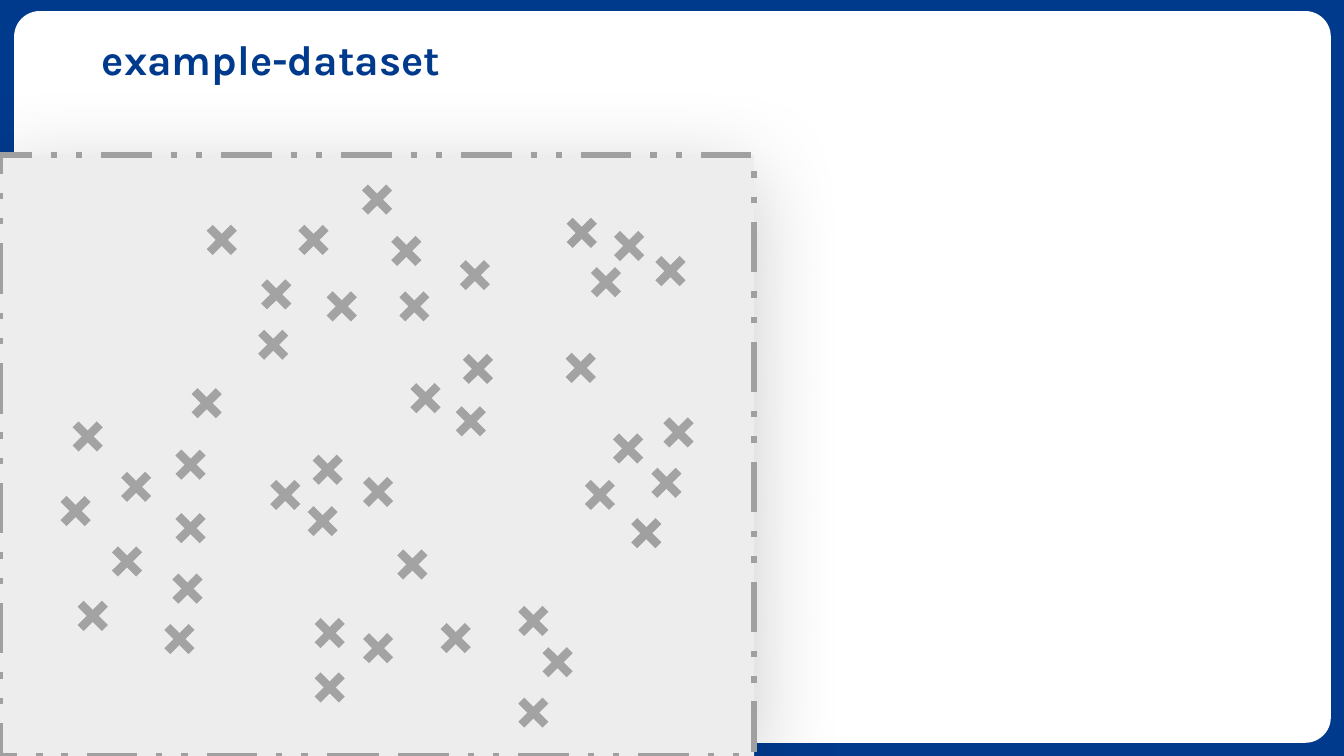
import pptx
import pptx.util
import pptx.dml.color
import pptx.enum.dml
import pptx.enum.shapes
import pptx.enum.text
import pptx.oxml.ns
from lxml import etree

Inches = pptx.util.Inches
Pt = pptx.util.Pt

TITLE = "example-dataset"
COLORS = {
    "blue": "003A8D",
    "white": "FFFFFF",
    "plot": "EDEDED",
    "border": "A0A0A0",
    "point": "A3A3A3",
    "late_point": "A0A0A0",
    "shadow": "000000",
}
CARD_BOX = (0.14, 0.11, 13.06, 7.26)
PLOT_BOX = (0, 1.54, 7.48, 5.96)
TITLE_BOX = (0.91, 0.32, 12.05, 0.58)
SHADOW = {"blurRad": Pt(65), "dist": Pt(13), "dir": 90 * 60000, "algn": "t", "rotWithShape": 0}
SHADOW_ALPHA = 20000

# Top left corner of each cross in the scatter
CROSS_SIZE = 0.24
POINTS = {
    "point": [
        (2.08, 2.26), (2.99, 2.26), (3.62, 1.86), (3.91, 2.37), (4.59, 2.61),
        (2.62, 2.8), (3.27, 2.92), (3.99, 2.92), (4.1, 3.83), (4.55, 4.06),
        (2.59, 3.3), (6.12, 2.32), (5.89, 2.68), (6.53, 2.57), (6.61, 4.17),
        (6.49, 4.67), (6.11, 4.33), (5.83, 4.79), (5.17, 6.04), (5.41, 6.45),
        (5.17, 6.95), (4.4, 6.21), (3.63, 6.31), (3.15, 6.7), (3.15, 6.16),
        (3.97, 5.48), (3.63, 4.76), (3.13, 4.54), (2.71, 4.79), (3.08, 5.05),
        (1.66, 6.22), (1.74, 5.72), (0.8, 5.99), (1.14, 5.45), (0.63, 4.95),
        (1.23, 4.71), (1.77, 5.12), (0.75, 4.21), (1.77, 4.49), (1.93, 3.88),
        (5.64, 3.53),
    ],
    "late_point": [(5.65, 2.19), (4.62, 3.54), (6.29, 5.17)],
}


def rgb(name):
    return pptx.dml.color.RGBColor.from_string(COLORS[name])


def fill_solid(fill, name):
    fill.solid()
    fill.fore_color.rgb = rgb(name)


def add_panel(shapes, preset, box, color):
    panel = shapes.add_shape(preset, *map(Inches, box))
    panel.shadow.inherit = False
    fill_solid(panel.fill, color)
    return panel


def add_effect(parent, tag, **values):
    attributes = {key: str(value) for key, value in values.items()}
    return etree.SubElement(parent, pptx.oxml.ns.qn(tag), attributes)


def add_cross(shapes, left, top, color):
    right, bottom = left + CROSS_SIZE, top + CROSS_SIZE
    for ends in ((left, top, right, bottom), (left, bottom, right, top)):
        stroke = shapes.add_connector(
            pptx.enum.shapes.MSO_CONNECTOR.STRAIGHT, *map(Inches, ends))
        stroke.line.color.rgb = rgb(color)
        stroke.line.width = Pt(6)
        add_effect(stroke._element.spPr, "a:effectLst")


def add_scatter(slide):
    scatter = slide.shapes.add_group_shape().shapes
    plot = add_panel(scatter, pptx.enum.shapes.MSO_SHAPE.RECTANGLE, PLOT_BOX, "plot")
    plot.line.color.rgb = rgb("border")
    plot.line.width = Pt(4.5)
    plot.line.dash_style = pptx.enum.dml.MSO_LINE.DASH_DOT_DOT
    effects = plot._element.spPr.find(pptx.oxml.ns.qn("a:effectLst"))
    shadow = add_effect(effects, "a:outerShdw", **SHADOW)
    shade = add_effect(shadow, "a:srgbClr", val=COLORS["shadow"])
    add_effect(shade, "a:alpha", val=SHADOW_ALPHA)
    for color, corners in POINTS.items():
        for left, top in corners:
            add_cross(scatter, left, top, color)


def add_title(slide):
    title = slide.shapes.title
    title.left, title.top, title.width, title.height = map(Inches, TITLE_BOX)
    title.text_frame.text = TITLE
    title.text_frame.vertical_anchor = pptx.enum.text.MSO_ANCHOR.MIDDLE
    heading = title.text_frame.paragraphs[0]
    heading.alignment = pptx.enum.text.PP_ALIGN.LEFT
    heading.line_spacing = 0.9
    font = heading.runs[0].font
    for key, value in {"name": "Karla", "size": Pt(30), "bold": True}.items():
        setattr(font, key, value)
    font.color.rgb = rgb("blue")


def main():
    deck = pptx.Presentation()
    deck.slide_width, deck.slide_height = Inches(13.33), Inches(7.5)
    slide = deck.slides.add_slide(deck.slide_layouts[5])
    fill_solid(slide.background.fill, "blue")
    card = add_panel(slide.shapes, pptx.enum.shapes.MSO_SHAPE.ROUNDED_RECTANGLE,
                     CARD_BOX, "white")
    card.adjustments[0] = 0.035
    card.line.fill.background()
    add_scatter(slide)
    add_title(slide)
    # The title placeholder comes first by default; move it above the card
    slide.shapes._spTree.append(slide.shapes.title._element)
    deck.save("out.pptx")


if __name__ == "__main__":
    main()
